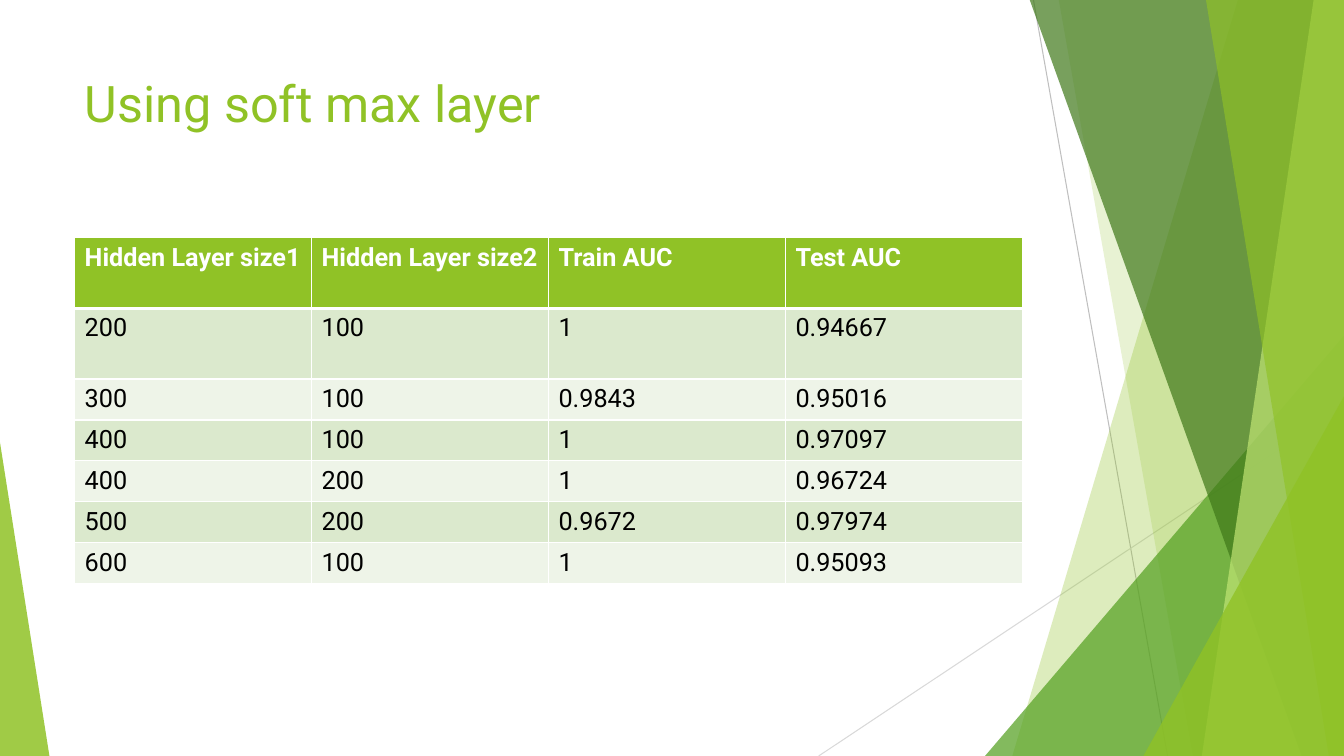
from lxml.etree import SubElement as Sub
from pptx import Presentation
from pptx.dml.color import RGBColor as RGB
from pptx.enum.shapes import MSO_CONNECTOR as Conn, MSO_SHAPE as Shape
from pptx.oxml.ns import qn
from pptx.util import Inches, Pt

FONT = "Roboto"
WHITE = RGB(0xFF, 0xFF, 0xFF)
BLACK = RGB(0, 0, 0)
LIME = RGB(0x90, 0xC2, 0x26)
PALE = RGB(0xC0, 0xE4, 0x74)
GREEN = RGB(0x54, 0xA0, 0x21)
DARK = RGB(0x3F, 0x78, 0x19)
GRAY = RGB(0xBF, 0xBF, 0xBF)
SILVER = RGB(0xD9, 0xD9, 0xD9)
BANDS = [RGB(0xDB, 0xE9, 0xCD), RGB(0xEE, 0xF4, 0xE8)]

HEADS = ["Hidden Layer size1", "Hidden Layer size2", "Train AUC", "Test AUC"]
SCORES = [
    ["200", "100", "1", "0.94667"],
    ["300", "100", "0.9843", "0.95016"],
    ["400", "100", "1", "0.97097"],
    ["400", "200", "1", "0.96724"],
    ["500", "200", "0.9672", "0.97974"],
    ["600", "100", "1", "0.95093"],
]


def paint(shape, color, alpha):
    """Fill a shape with a see-through color, without outline or shadow."""
    shape.shadow.inherit = False
    shape.line.fill.background()
    shape.fill.solid()
    shape.fill.fore_color.rgb = color
    tint = shape.fill._xPr.find(qn("a:solidFill"))[0]
    Sub(tint, qn("a:alpha"), val=str(alpha * 1000))


def add_ray(slide, start, end, color):
    """Draw a thin line between two points."""
    ray = slide.shapes.add_connector(Conn.STRAIGHT, *map(Inches, start + end))
    ray.line.color.rgb = color
    ray.line.width = Pt(0.75)
    Sub(ray._element.spPr, qn("a:effectLst"))


def add_shard(slide, high, low, right, top, foot, color, alpha):
    """Draw a band from a slanted left edge to the right side."""
    points = [(high, top), (right, top), (right, foot), (low, foot)]
    points = [(Inches(x), Inches(y)) for x, y in points]
    pen = slide.shapes.build_freeform(*points[0])
    pen.add_line_segments(points[1:], close=True)
    paint(pen.convert_to_shape(), color, alpha)


def add_wedge(slide, left, foot, width, height, peak, color, alpha):
    """Draw a right triangle that stands on the foot line."""
    box = map(Inches, (left, foot - height, width, height))
    wedge = slide.shapes.add_shape(Shape.ISOSCELES_TRIANGLE, *box)
    wedge.adjustments[0] = peak
    paint(wedge, color, alpha)


def add_decor(slide, left, top, width, height):
    """Draw the green facets along both sides of the box."""
    right, foot = left + width, top + height

    def shard(high, low, color, alpha):
        """Place a shard by its distances from the right side."""
        add_shard(slide, right - high, right - low, right, top - 0.01, foot,
                  color, alpha)

    def wedge(wide, tall, color, alpha):
        """Place a wedge in the lower right corner."""
        add_wedge(slide, right - wide, foot, wide, tall, 1, color, alpha)

    add_ray(slide, (right - 3.08, top), (right - 1.75, foot), GRAY)
    add_ray(slide, (right, top + 4.03), (right - 5.21, foot), SILVER)
    shard(1.05, 3.29, LIME, 30)
    shard(2.83, 1.5, LIME, 20)
    wedge(3.56, 4.17, GREEN, 72)
    shard(3.12, 0.42, DARK, 70)
    shard(0.3, 1.41, PALE, 70)
    shard(1.37, 0.15, LIME, 65)
    wedge(1.99, 3.57, LIME, 80)
    add_wedge(slide, left, foot, 0.49, 3.11, 0, LIME, 85)


def style(para, size, color, bold=False):
    """Set the font of a paragraph."""
    font = para.font
    font.name, font.size, font.bold = FONT, Pt(size), bold
    font.color.rgb = color


def add_title(slide, left, top, width, height):
    """Write the slide title."""
    box = slide.shapes.add_textbox(*map(Inches, (left, top, width, height)))
    box.text_frame.word_wrap = True
    para = box.text_frame.paragraphs[0]
    para.text = "Using soft max layer"
    style(para, 36, LIME)


def add_edges(cell, above, below):
    """Give a cell white borders, with the widths above and below in points."""
    props = cell._tc.get_or_add_tcPr()
    for side, width in zip("LRTB", (1, 1, above, below)):
        edge = Sub(props, qn(f"a:ln{side}"), w=str(Pt(width)))
        Sub(Sub(edge, qn("a:solidFill")), qn("a:srgbClr"), val=str(WHITE))


def add_scores(slide, left, top, width, height):
    """Build the table of layer sizes and AUC values."""
    rows = [HEADS] + SCORES
    box = map(Inches, (left, top, width, height))
    table = slide.shapes.add_table(len(rows), len(HEADS), *box).table
    for col in table.columns:
        col.width = Inches(width / len(HEADS))
    tall = 0.7
    short = (height - 2 * tall) / (len(rows) - 2)
    for r, row in enumerate(rows):
        table.rows[r].height = Inches(tall if r < 2 else short)
        for c, text in enumerate(row):
            cell = table.cell(r, c)
            add_edges(cell, 3 if r == 1 else 1, 3 if r == 0 else 1)
            cell.fill.solid()
            cell.fill.fore_color.rgb = BANDS[(r - 1) % 2] if r else LIME
            para = cell.text_frame.paragraphs[0]
            para.text = text
            style(para, 18, BLACK if r else WHITE, r == 0)


def main():
    """Build and save the slide."""
    deck = Presentation()
    deck.slide_width, deck.slide_height = Inches(13.33), Inches(7.5)
    slide = deck.slides.add_slide(deck.slide_layouts[6])
    add_decor(slide, 0, 0, 13.33, 7.5)
    add_title(slide, 0.74, 0.67, 9.4, 1.44)
    add_scores(slide, 0.74, 2.36, 9.4, 3.43)
    deck.save("out.pptx")


if __name__ == "__main__":
    main()
